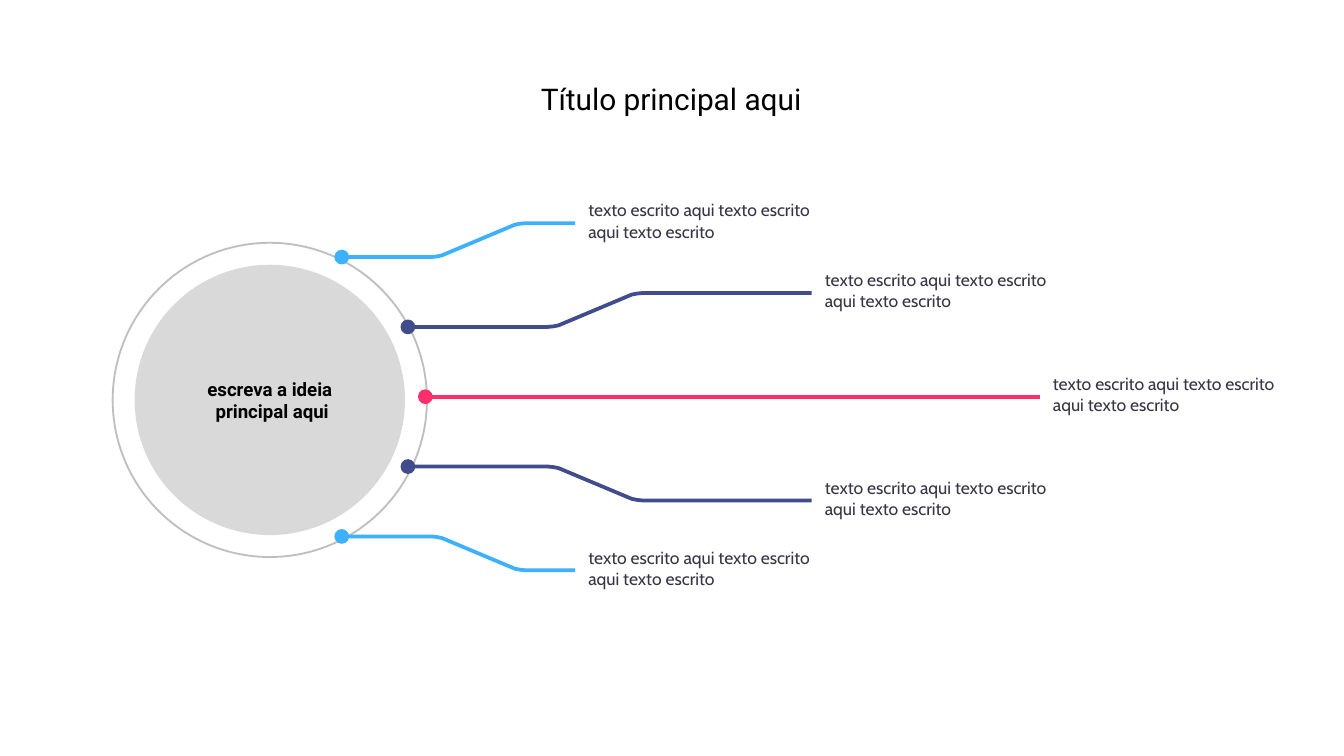
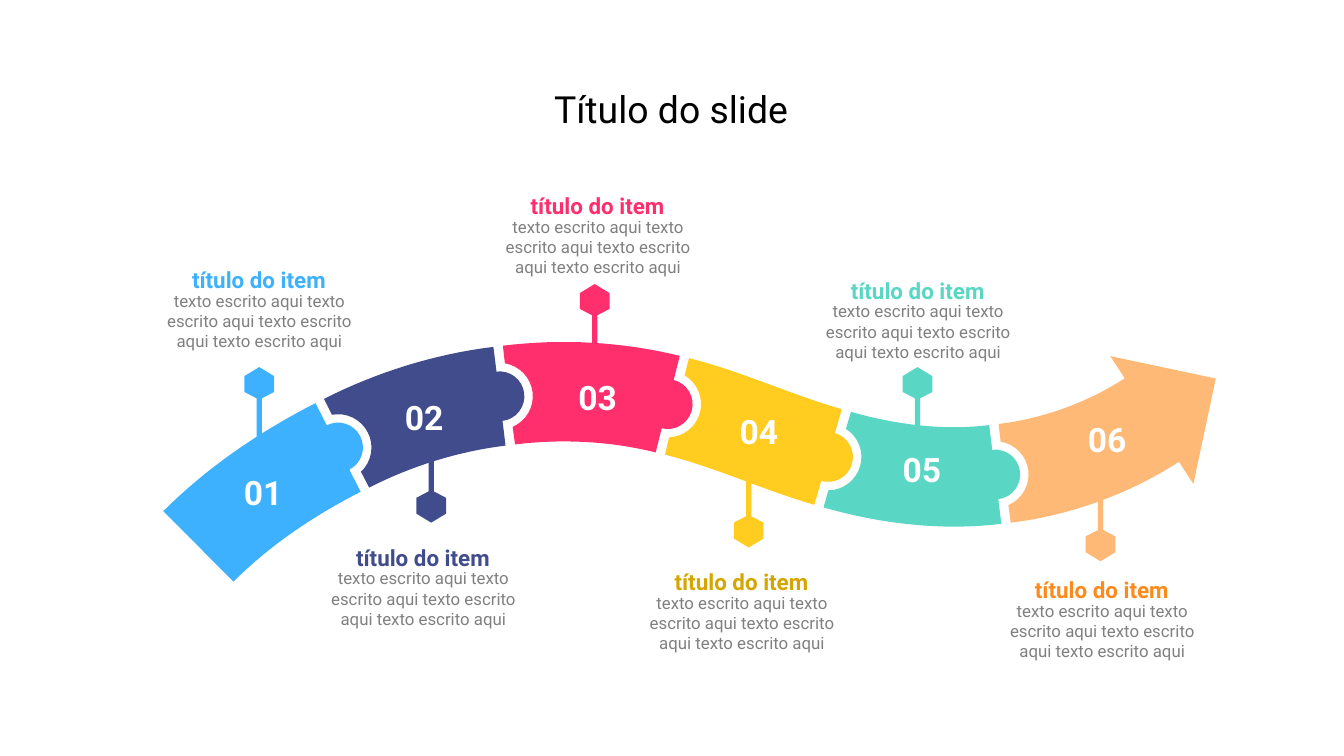
from math import cos, hypot, pi, radians, sin

from lxml.etree import SubElement
from pptx import Presentation
from pptx.dml.color import RGBColor
from pptx.enum.shapes import MSO_CONNECTOR, MSO_SHAPE
from pptx.enum.text import MSO_ANCHOR, MSO_AUTO_SIZE, PP_ALIGN
from pptx.oxml.ns import qn
from pptx.util import Cm, Pt

BLACK = RGBColor.from_string("000000")
WHITE = RGBColor.from_string("FFFFFF")
DISC_GRAY = RGBColor.from_string("D9D9D9")
RING_GRAY = RGBColor.from_string("BFBFBF")
BODY_GRAY = RGBColor.from_string("808080")
INK = RGBColor.from_string("373545")
BLUE = RGBColor.from_string("3DB1FE")
INDIGO = RGBColor.from_string("414C8C")
PINK = RGBColor.from_string("FF2F6E")
YELLOW = RGBColor.from_string("FFCC1F")
GOLD = RGBColor.from_string("D6A600")
TEAL = RGBColor.from_string("5AD7C4")
PEACH = RGBColor.from_string("FEB976")
ORANGE = RGBColor.from_string("FD8A1A")

HEADING_FONT = "Roboto"
LABEL_FONT = "Cabin"
LABEL_TEXT = "texto escrito aqui texto escrito aqui texto escrito"
ITEM_TITLE = "título do item"
ITEM_TEXT = "texto escrito aqui texto escrito aqui texto escrito aqui texto escrito aqui"

AXIS_Y = 7.5
RISE = 0.64

# Colour, dot x, distance from the axis, bend start, line end (cm).
BENT_BRANCHES = [
    (BLUE, 6.46, 2.64, 8.15, 10.87),
    (INDIGO, 7.71, 1.32, 10.36, 15.34),
]

# Fill, title colour, pin centre, signed stem length, text corner (cm).
ITEMS = [
    (BLUE, BLUE, 4.9, 7.26, 1.3, 3.02, 5.49),
    (INDIGO, INDIGO, 8.15, 9.56, -1.07, 6.12, 10.74),
    (PINK, PINK, 11.24, 5.69, 0.94, 9.42, 4.09),
    (YELLOW, GOLD, 14.15, 10.03, -1.07, 12.14, 11.2),
    (TEAL, TEAL, 17.34, 7.26, 0.91, 15.47, 5.69),
    (PEACH, ORANGE, 20.8, 10.29, -1.07, 18.95, 11.35),
]

# Middle of the ribbon at each joint (cm) and its direction (degrees).
JOINTS = [
    (3.75, 10.33, -45),
    (6.39, 8.46, -27),
    (9.44, 7.49, -7),
    (12.62, 7.64, 14),
    (15.65, 8.64, 16),
    (18.81, 8.97, -7),
    (21.77, 7.94, -33),
]
HALF_WIDTH = 0.94
GAP = 0.18
KNOB = 0.47
NOTCH = 0.63
HEAD = 1.44
STEPS = 16


def add_run(paragraph, text, size, color, font=HEADING_FONT, bold=False):
    run = paragraph.add_run()
    run.text = text
    run.font.size = Pt(size)
    run.font.name = font
    run.font.bold = bold
    run.font.color.rgb = color


def set_margins(frame, margin):
    frame.margin_left = frame.margin_right = Cm(margin)
    frame.margin_top = frame.margin_bottom = Cm(margin)


def paint(shape, fill=None, line=None, width=1):
    shape.shadow.inherit = False
    if fill is None:
        shape.fill.background()
    else:
        shape.fill.solid()
        shape.fill.fore_color.rgb = fill
    if line is None:
        shape.line.fill.background()
    else:
        shape.line.color.rgb = line
        shape.line.width = Pt(width)


def add_text(slide, text, left, top, width, height, size, color, font=HEADING_FONT,
             bold=False, align=PP_ALIGN.CENTER, margin=0, spacing=None):
    box = slide.shapes.add_textbox(Cm(left), Cm(top), Cm(width), Cm(height))
    frame = box.text_frame
    frame.word_wrap = True
    frame.auto_size = MSO_AUTO_SIZE.SHAPE_TO_FIT_TEXT
    set_margins(frame, margin)
    paragraph = frame.paragraphs[0]
    paragraph.alignment = align
    paragraph.line_spacing = spacing
    add_run(paragraph, text, size, color, font, bold)


def add_title(slide, text, top, height, size):
    add_text(slide, text, 9.42, top, 6.53, height, size, BLACK, margin=0.05)


def add_circle(slide, x, y, diameter, fill=None, line=None):
    """Draw a circle around the centre (x, y)."""
    circle = slide.shapes.add_shape(
        MSO_SHAPE.OVAL, Cm(x - diameter / 2), Cm(y - diameter / 2),
        Cm(diameter), Cm(diameter))
    paint(circle, fill, line)
    return circle


def add_outline(slide, points, close=True):
    corners = [(Cm(x), Cm(y)) for x, y in points]
    builder = slide.shapes.build_freeform(*corners[0])
    builder.add_line_segments(corners[1:], close=close)
    return builder.convert_to_shape()


def add_straight_line(slide, x1, x2, y, color):
    line = slide.shapes.add_connector(MSO_CONNECTOR.STRAIGHT, Cm(x1), Cm(y), Cm(x2), Cm(y))
    line.line.color.rgb = color
    line.line.width = Pt(2)
    SubElement(line._element.spPr, qn("a:effectLst"))


def add_bent_line(slide, x, y, bend, end, side, color):
    """Draw a level line that slopes to another level with softened corners."""
    slope = [(0, 0), (0.1, 0.01), (0.2, 0.03)]
    slope += [(1.78 - dx, RISE - dy) for dx, dy in reversed(slope)]
    points = [(x, y)] + [(bend + dx, y + side * dy) for dx, dy in slope]
    points.append((end, y + side * RISE))
    paint(add_outline(slide, points, close=False), line=color, width=2)


def add_dot_and_label(slide, x, y, end, side, color):
    add_circle(slide, x, y, 0.28, color)
    add_text(slide, LABEL_TEXT, end + 0.2, y - 0.5 + side * RISE, 4.32, 0.91, 9.4, INK,
             LABEL_FONT, align=PP_ALIGN.LEFT, margin=0.05)


def add_pin(slide, x, y, stem, color):
    """Draw a hexagon with a stem: downwards if positive, upwards if negative."""
    side = 1 if stem > 0 else -1
    half = [(0.28, -0.15 * side), (0.28, 0.15 * side), (0.05, 0.27 * side), (0.05, stem)]
    mirrored = [(-dx, dy) for dx, dy in reversed(half)]
    offsets = [(0, -0.32 * side)] + half + mirrored
    paint(add_outline(slide, [(x + dx, y + dy) for dx, dy in offsets]), color)


def at_joint(joint, along, across):
    """Return the point at an offset along and across the ribbon."""
    x, y, degrees = joint
    angle = radians(degrees)
    return (x + along * cos(angle) - across * sin(angle),
            y + along * sin(angle) + across * cos(angle))


def ribbon_edge(start, end, gap, across):
    """Return a curve between two joints that follows both directions."""
    first, last = at_joint(start, gap, across), at_joint(end, 0, across)
    handle = hypot(last[0] - first[0], last[1] - first[1]) / 3
    controls = (first, at_joint(start, gap + handle, across),
                at_joint(end, -handle, across), last)
    points = []
    for step in range(STEPS + 1):
        t = step / STEPS
        weights = ((1 - t) ** 3, 3 * t * (1 - t) ** 2, 3 * t * t * (1 - t), t ** 3)
        points.append(tuple(sum(w * value for w, value in zip(weights, values))
                            for values in zip(*controls)))
    return points


def bulge(joint, radius, gap=0):
    """Return an arc across the ribbon, from top to bottom, starting at the gap."""
    reach = pi / 2 - gap / radius
    angles = [reach * (2 * step / STEPS - 1) for step in range(STEPS + 1)]
    return [at_joint(joint, radius * cos(a), radius * sin(a)) for a in angles]


def ribbon_outline(start, end, is_first, is_last):
    gap = 0 if is_first else GAP
    top = ribbon_edge(start, end, gap, -HALF_WIDTH)
    bottom = ribbon_edge(start, end, gap, HALF_WIDTH)
    if is_last:
        head = [(0, -HEAD), (HEAD, 0), (0, HEAD)]
        right = [at_joint(end, *corner) for corner in head]
    else:
        right = bulge(end, KNOB)
    left = [] if is_first else bulge(start, NOTCH, GAP)[::-1]
    return top + right + bottom[::-1] + left


def add_ribbon_piece(slide, index, color):
    start, end = JOINTS[index:index + 2]
    outline = ribbon_outline(start, end, index == 0, index == len(ITEMS) - 1)
    piece = add_outline(slide, outline)
    paint(piece, color)
    frame = piece.text_frame
    frame.vertical_anchor = MSO_ANCHOR.MIDDLE
    frame.paragraphs[0].alignment = PP_ALIGN.CENTER
    add_run(frame.paragraphs[0], f"{index + 1:02}", 18, WHITE, bold=True)


def add_item_text(slide, left, top, color):
    add_text(slide, ITEM_TEXT, left, top, 3.76, 1.14, 9, BODY_GRAY)
    add_text(slide, ITEM_TITLE, left + 0.06, top - 0.71, 3.63, 0.71, 12, color,
             bold=True, spacing=1.5)


def build_idea_slide(slide):
    center = (5.1, 7.56)
    disc = add_circle(slide, *center, 5.11, DISC_GRAY)
    frame = disc.text_frame
    frame.vertical_anchor = MSO_ANCHOR.MIDDLE
    set_margins(frame, 0)
    first, second = frame.paragraphs[0], frame.add_paragraph()
    for paragraph, text in ((first, "escreva a ideia"), (second, " principal aqui")):
        paragraph.alignment = PP_ALIGN.CENTER
        add_run(paragraph, text, 10, BLACK, bold=True)
    add_circle(slide, *center, 5.94, line=RING_GRAY)
    for color, x, distance, bend, end in BENT_BRANCHES:
        for side in (-1, 1):
            y = AXIS_Y + side * distance
            add_bent_line(slide, x, y, bend, end, side, color)
            add_dot_and_label(slide, x, y, end, side, color)
    add_straight_line(slide, 8.04, 19.65, AXIS_Y, PINK)
    add_dot_and_label(slide, 8.04, AXIS_Y, 19.65, 0, PINK)
    add_title(slide, "Título principal aqui", 1.47, 0.79, 16)


def build_ribbon_slide(slide):
    for fill, _, x, y, stem, _, _ in ITEMS:
        add_pin(slide, x, y, stem, fill)
    for index, item in enumerate(ITEMS):
        add_ribbon_piece(slide, index, item[0])
    add_title(slide, "Título do slide", 1.57, 0.97, 20)
    for _, title_color, _, _, _, left, top in ITEMS:
        add_item_text(slide, left, top, title_color)


def main():
    presentation = Presentation()
    presentation.slide_width = Cm(25.4)
    presentation.slide_height = Cm(14.29)
    blank = presentation.slide_layouts[6]
    for build in (build_idea_slide, build_ribbon_slide):
        build(presentation.slides.add_slide(blank))
    presentation.save("out.pptx")


if __name__ == "__main__":
    main()
